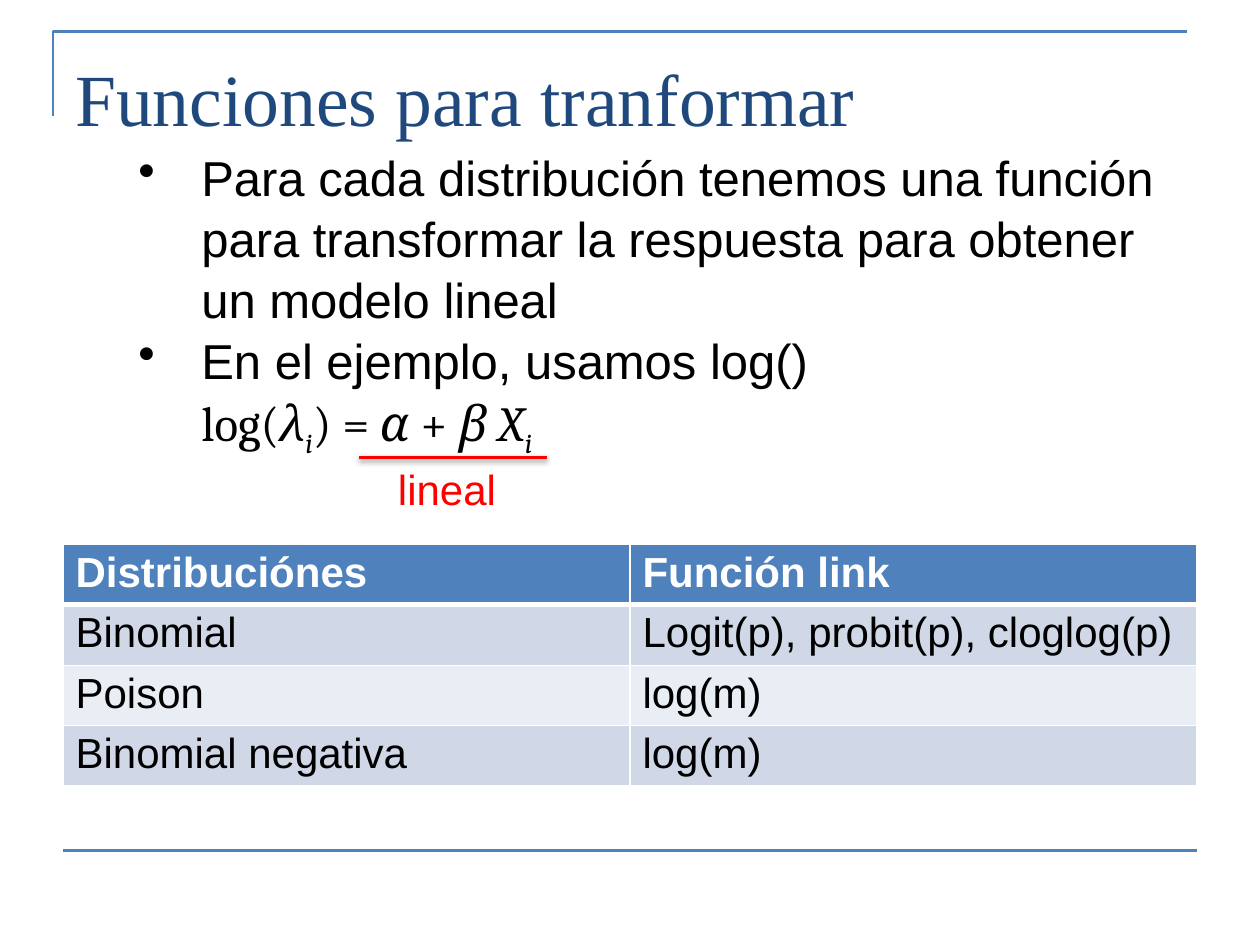
from pptx import Presentation
from pptx import util as u
from pptx.dml.color import RGBColor
from pptx.enum import shapes, text
from pptx.oxml import parse_xml
from pptx.oxml.ns import nsdecls

Inches = u.Inches
HUES = {
    "blue": "4F81BD", "navy": "1F497D", "red": "FF0000", "black": "000000",
    "white": "FFFFFF", "band": "D0D8E8", "pale": "E9EDF4",
}
BODY = [
    "Para cada distribución tenemos una función para transformar "
    "la respuesta para obtener un modelo lineal",
    "En el ejemplo, usamos log()",
]
# Each part: words, italic, subscript
MODEL = [
    ("log(", False, False), ("λ", True, False), ("i", True, True),
    (") =", False, False), (" α", True, False), (" + ", False, False),
    ("β X", True, False), ("i", True, True),
]
ROWS = [
    ("Distribuciónes", "Función link"),
    ("Binomial", "Logit(p), probit(p), cloglog(p)"),
    ("Poison", "log(m)"),
    ("Binomial negativa", "log(m)"),
]


def rgb(name):
    return RGBColor.from_string(HUES[name])


def add_text(para, words, size=28, font="Arial", color="black",
             bold=False, italic=False, sub=False):
    run = para.add_run()
    run.text = words
    face = run.font
    face.size, face.name = u.Pt(size), font
    face.bold, face.italic = bold, italic
    face.color.rgb = rgb(color)
    if sub:
        run._r.get_or_add_rPr().set("baseline", "-25000")


def add_box(slide, left, top, width, height, wrap=True):
    box = slide.shapes.add_textbox(
        Inches(left), Inches(top), Inches(width), Inches(height))
    frame = box.text_frame
    frame.word_wrap = wrap
    frame.vertical_anchor = text.MSO_ANCHOR.TOP
    return frame


def set_indent(para, bullet):
    """Indent the text by an inch, with a hanging bullet if asked."""
    props = para._p.get_or_add_pPr()
    props.set("marL", str(Inches(1)))
    props.set("indent", str(Inches(-0.5) if bullet else 0))
    mark = '<a:buChar %s char="•"/>' if bullet else "<a:buNone %s/>"
    para.line_spacing = 1.04
    props.append(parse_xml(mark % nsdecls("a")))


def add_line(slide, left, right, y, color, width, shadow=False):
    line = slide.shapes.add_connector(
        shapes.MSO_CONNECTOR.STRAIGHT,
        Inches(left), Inches(y), Inches(right), Inches(y))
    line.line.color.rgb = rgb(color)
    line.line.width = u.Pt(width)
    glow = (
        f'<a:outerShdw blurRad="{u.Pt(3.1)}" dist="{u.Pt(1.6)}" '
        'dir="5400000" rotWithShape="0">'
        f'<a:srgbClr val="{HUES["black"]}"><a:alpha val="38000"/>'
        "</a:srgbClr></a:outerShdw>") if shadow else ""
    line._element.spPr.append(parse_xml(
        f'<a:effectLst {nsdecls("a")}>{glow}</a:effectLst>'))


def add_corner(slide):
    pen = slide.shapes.build_freeform(Inches(0.42), Inches(0.92))
    pen.add_line_segments(
        [(Inches(0.42), Inches(0.25)), (Inches(9.42), Inches(0.25))],
        close=False)
    corner = pen.convert_to_shape()
    corner.shadow.inherit = False
    corner.fill.background()
    corner.line.color.rgb = rgb("blue")
    corner.line.width = u.Pt(1.5)


def set_edges(cell, widths):
    """Draw white borders, given side letters and widths in points."""
    props = cell._tc.get_or_add_tcPr()
    for spot, (side, width) in enumerate(widths.items()):
        props.insert(spot, parse_xml(
            f'<a:ln{side} {nsdecls("a")} w="{u.Pt(width)}"><a:solidFill>'
            f'<a:srgbClr val="{HUES["white"]}"/></a:solidFill></a:ln{side}>'))


def add_grid(slide):
    high = Inches(0.47)
    grid = slide.shapes.add_table(
        len(ROWS), 2, Inches(0.5), Inches(4.32), Inches(9),
        high * len(ROWS)).table
    for r, row in enumerate(ROWS):
        head = r == 0
        fill = "blue" if head else "band" if r % 2 else "pale"
        for c, words in enumerate(row):
            cell = grid.cell(r, c)
            cell.margin_top = cell.margin_bottom = Inches(0.04)
            cell.fill.solid()
            cell.fill.fore_color.rgb = rgb(fill)
            add_text(cell.text_frame.paragraphs[0], words, size=24,
                     color="white" if head else "black", bold=head)
            set_edges(cell, {"L": 1, "R": 1, "T": 3 if r == 1 else 1,
                             "B": 3 if head else 1})


def add_body(slide):
    frame = add_box(slide, 0.5, 1.1, 8.86, 2.5)
    for n, words in enumerate(BODY):
        para = frame.add_paragraph() if n else frame.paragraphs[0]
        set_indent(para, True)
        add_text(para, words)
    para = frame.add_paragraph()
    set_indent(para, False)
    for words, italic, sub in MODEL:
        add_text(para, words, font="Cambria", italic=italic, sub=sub)


def main():
    deck = Presentation()
    deck.slide_width, deck.slide_height = Inches(10), Inches(7.5)
    slide = deck.slides.add_slide(deck.slide_layouts[6])
    add_corner(slide)
    add_line(slide, 0.5, 9.5, 6.75, "blue", 1.5)
    title = add_box(slide, 0.5, 0.3, 9, 1.25)
    title.margin_top = Inches(0.12)
    add_text(title.paragraphs[0], "Funciones para tranformar", size=42,
             font="Times New Roman", color="navy")
    add_grid(slide)
    add_body(slide)
    label = add_box(slide, 3.06, 3.63, 0.99, 0.5, wrap=False)
    add_text(label.paragraphs[0], "lineal", size=24, color="red")
    add_line(slide, 2.85, 4.34, 3.63, "red", 2, shadow=True)
    deck.save("out.pptx")


if __name__ == "__main__":
    main()
